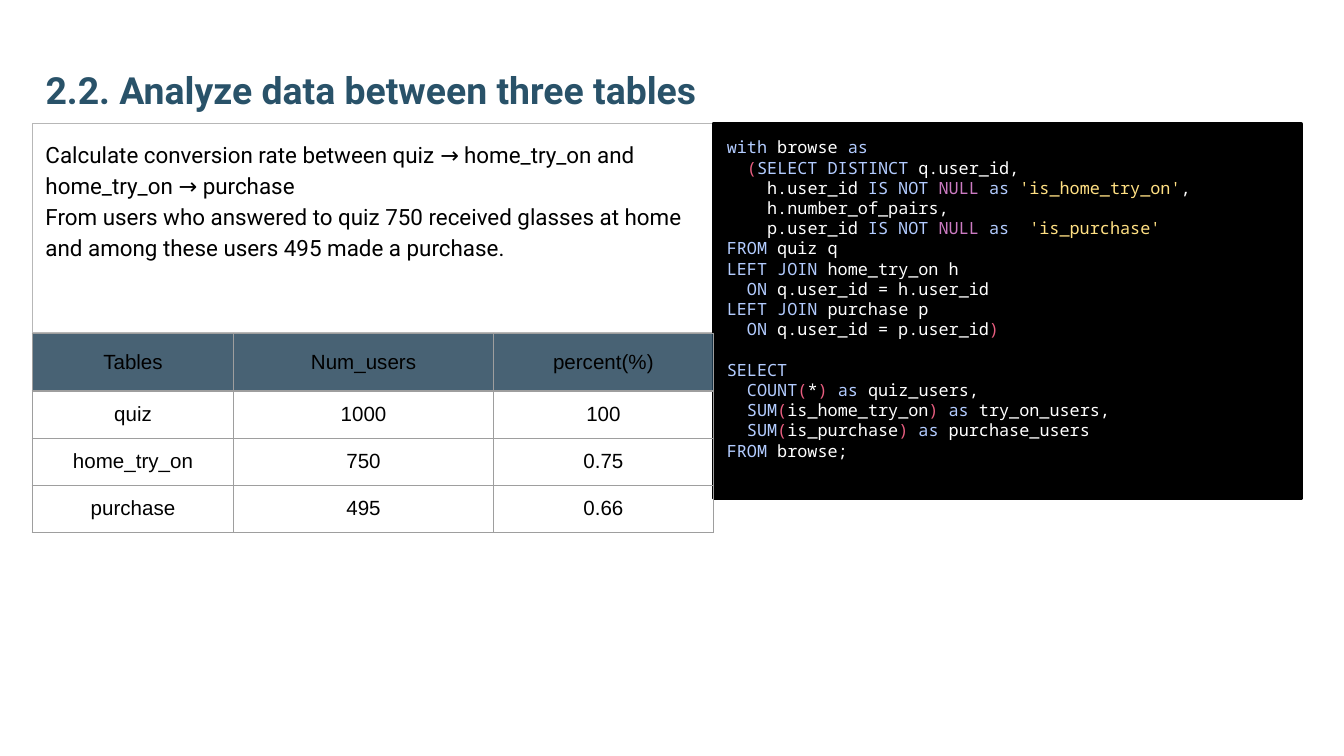
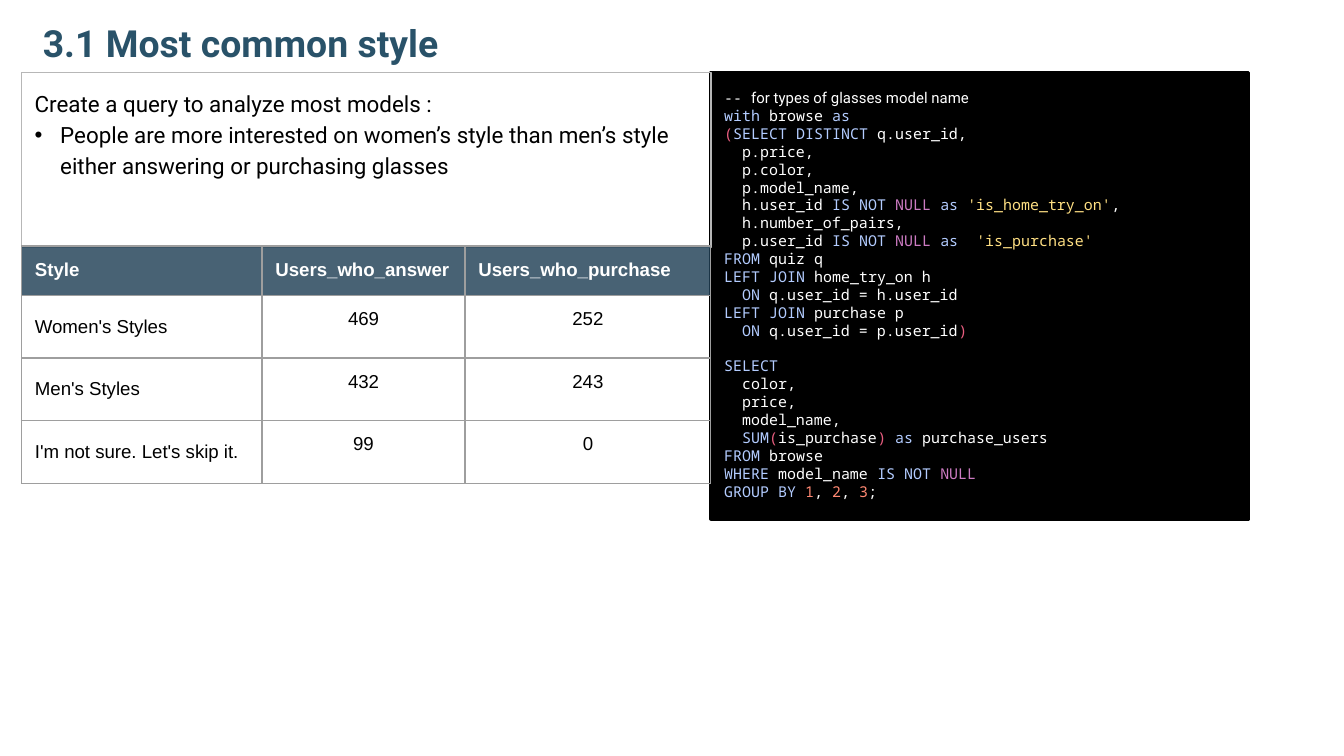
from dataclasses import dataclass
from itertools import groupby

from lxml.etree import SubElement as Sub
from pptx import Presentation as Deck
from pptx.dml.color import RGBColor as Rgb
from pptx.enum.shapes import MSO_SHAPE as Form
from pptx.enum.text import MSO_ANCHOR as Anchor, PP_ALIGN as Align
from pptx.oxml.ns import qn
from pptx.util import Inches, Pt


@dataclass(frozen=True)
class Theme:
    """Colours, fonts and type sizes of the deck."""
    title: str = "295269"
    ink: str = "000000"
    paper: str = "FFFFFF"
    edge: str = "B7B7B7"
    grid: str = "9E9E9E"
    head: str = "204056"
    alpha: int = 82
    key: str = "B3CCFF"
    null: str = "CC7BC2"
    paren: str = "E85D7F"
    quote: str = "FFE083"
    digit: str = "FF8973"
    sans: str = "Roboto"
    cell: str = "Arial"
    mono: str = "Noto Sans Mono"
    note: str = "Courier New"
    big: int = 20
    body: int = 12
    thin: float = 0.75
    thick: float = 2
    lead: float = 1.15
    pitch: float = 1.2


@dataclass(frozen=True)
class Look:
    """Text style of a table cell."""
    size: int
    ink: str = "000000"
    bold: bool = False
    align: Align = Align.CENTER
    anchor: Anchor = Anchor.MIDDLE
    pad: tuple = (0.1, 0.1)


T = Theme()
KEYS = set("with as SELECT DISTINCT IS NOT FROM LEFT JOIN ON COUNT SUM WHERE GROUP BY".split())

FUNNEL = """with browse as
  (SELECT DISTINCT q.user_id,
    h.user_id IS NOT NULL as 'is_home_try_on',
    h.number_of_pairs,
    p.user_id IS NOT NULL as  'is_purchase'
FROM quiz q
LEFT JOIN home_try_on h
  ON q.user_id = h.user_id
LEFT JOIN purchase p
  ON q.user_id = p.user_id)

SELECT
  COUNT(*) as quiz_users,
  SUM(is_home_try_on) as try_on_users,
  SUM(is_purchase) as purchase_users
FROM browse;"""

MODELS = """-- for types of glasses model name
with browse as
(SELECT DISTINCT q.user_id,
  p.price,
  p.color,
  p.model_name,
  h.user_id IS NOT NULL as 'is_home_try_on',
  h.number_of_pairs,
  p.user_id IS NOT NULL as  'is_purchase'
FROM quiz q
LEFT JOIN home_try_on h
  ON q.user_id = h.user_id
LEFT JOIN purchase p
  ON q.user_id = p.user_id)

SELECT
  color,
  price,
  model_name,
  SUM(is_purchase) as purchase_users
FROM browse
WHERE model_name IS NOT NULL
GROUP BY 1, 2, 3;"""


def rgb(code):
    """Turn a hex code into a colour."""
    return Rgb.from_string(code)


def add_run(para, text, size, font, ink, bold=False):
    """Add one styled run to a paragraph."""
    run = para.add_run()
    run.text = text
    face = run.font
    face.size, face.name, face.bold = Pt(size), font, bold
    face.color.rgb = rgb(ink)


def set_pad(box, side, ends):
    """Set the inner margins of a text frame or cell."""
    box.margin_left = box.margin_right = Inches(side)
    box.margin_top = box.margin_bottom = Inches(ends)


def next_para(frame, index):
    """Give the first paragraph of a frame, or a new one."""
    return frame.add_paragraph() if index else frame.paragraphs[0]


def add_title(slide, place, text, ends):
    """Add the slide title, resting on the foot of its box."""
    frame = slide.shapes.add_textbox(*map(Inches, place)).text_frame
    frame.word_wrap = True
    frame.vertical_anchor = Anchor.BOTTOM
    set_pad(frame, 0.1, ends)
    add_run(frame.paragraphs[0], text, T.big, T.sans, T.title, True)


def add_panel(slide, place, edge, width, fill=None):
    """Add a framed rectangle and return its text frame."""
    panel = slide.shapes.add_shape(Form.RECTANGLE, *map(Inches, place))
    panel.shadow.inherit = False
    panel.line.color.rgb = rgb(edge)
    panel.line.width = Pt(width)
    if fill:
        panel.fill.solid()
        panel.fill.fore_color.rgb = rgb(fill)
    else:
        panel.fill.background()
    frame = panel.text_frame
    frame.word_wrap = True
    frame.vertical_anchor = Anchor.TOP
    set_pad(frame, 0.1, 0.1)
    return frame


def add_bullet(para):
    """Give a paragraph a round bullet with a hanging indent."""
    props = para._p.get_or_add_pPr()
    props.set("marL", str(Inches(0.19)))
    props.set("indent", str(-Inches(0.19)))
    Sub(Sub(props, qn("a:buClr")), qn("a:srgbClr"), val=T.ink)
    Sub(props, qn("a:buFont"), typeface=T.cell)
    Sub(props, qn("a:buChar"), char="•")


def add_story(slide, place, lines):
    """Add the framed notes, given as pairs of text and bullet flag."""
    frame = add_panel(slide, place, T.edge, T.thin)
    for index, (text, dot) in enumerate(lines):
        para = next_para(frame, index)
        para.alignment = Align.LEFT
        if dot:
            add_bullet(para)
        para.line_spacing = T.lead
        add_run(para, text, T.body, T.sans, T.ink)


def word_ink(word):
    """Choose the colour of one SQL token."""
    if word in KEYS:
        return T.key
    if word == "NULL":
        return T.null
    if word.isdigit():
        return T.digit
    return T.paren if word in ("(", ")") else T.paper


def sql_runs(line):
    """Split a line of SQL into pairs of colour and text."""
    marks = []
    for index, part in enumerate(line.split("'")):
        if index % 2:
            marks.append((T.quote, f"'{part}'"))
            continue
        for is_word, chars in groupby(part, lambda c: c.isalnum() or c == "_"):
            words = ["".join(chars)] if is_word else chars
            marks += [(word_ink(word), word) for word in words]
    for ink, group in groupby(marks, lambda mark: mark[0]):
        yield ink, "".join(text for _, text in group)


def add_code(slide, place, code, size):
    """Add the dark panel with coloured SQL."""
    frame = add_panel(slide, place, T.ink, T.thick, T.ink)
    index = 0
    for block in code.split("\n\n"):
        for row, line in enumerate(block.split("\n")):
            para = next_para(frame, index)
            para.alignment = Align.LEFT
            if index and not row:
                para.space_before = Pt(size * T.pitch)
            if line.startswith("-- "):
                para.line_spacing = T.lead
                add_run(para, line[:3], size, T.note, T.paper)
                add_run(para, line[3:], size, T.sans, T.paper)
            else:
                for ink, text in sql_runs(line):
                    add_run(para, text, size, T.mono, ink)
            index += 1


def style_cell(cell, text, look, head):
    """Write, outline and fill one table cell."""
    para = cell.text_frame.paragraphs[0]
    para.alignment = look.align
    add_run(para, text, look.size, T.cell, look.ink, look.bold)
    cell.vertical_anchor = look.anchor
    set_pad(cell, *look.pad)
    props = cell._tc.get_or_add_tcPr()
    for side in ("lnL", "lnR", "lnT", "lnB"):
        line = Sub(props, qn(f"a:{side}"), w=str(Pt(T.thin)))
        Sub(Sub(line, qn("a:solidFill")), qn("a:srgbClr"), val=T.grid)
    if head:
        cell.fill.solid()
        cell.fill.fore_color.rgb = rgb(T.head)
        tint = props.find(qn("a:solidFill")).find(qn("a:srgbClr"))
        Sub(tint, qn("a:alpha"), val=str(T.alpha * 1000))
    else:
        cell.fill.background()


def add_grid(slide, place, cols, top, rows, head, side, body):
    """Add a table with looks for its head, side column and body."""
    frame = slide.shapes.add_table(len(rows), len(cols), *map(Inches, place))
    table = frame.table
    table.first_row = table.horz_banding = False
    for col, width in zip(table.columns, cols):
        col.width = Inches(width)
    rest = (place[3] - top) / (len(rows) - 1)
    for y, row in enumerate(rows):
        table.rows[y].height = Inches(rest if y else top)
        for x, text in enumerate(row):
            look = head if y == 0 else body if x else side
            style_cell(table.cell(y, x), text, look, y == 0)


def add_funnel(slide):
    """Build the slide on conversion between tables."""
    add_title(slide, (0.24, 0.48, 8.41, 0.45), "2.2. Analyze data between three tables", 0.1)
    add_story(slide, (0.24, 0.92, 5.07, 1.56), [
        ("Calculate conversion rate between quiz → home_try_on and home_try_on → purchase", False),
        ("From users who answered to quiz 750 received glasses at home "
         "and among these users 495 made a purchase.", False)])
    add_code(slide, (5.31, 0.92, 4.37, 2.79), FUNNEL, 9)
    look = Look(11, pad=(0.01, 0.01))
    add_grid(slide, (0.24, 2.48, 5.07, 1.48), (1.5, 1.93, 1.64), 0.43, [
        ("Tables", "Num_users", "percent(%)"),
        ("quiz", "1000", "100"),
        ("home_try_on", "750", "0.75"),
        ("purchase", "495", "0.66")], look, look, look)


def add_styles(slide):
    """Build the slide on the most common style."""
    add_code(slide, (5.29, 0.54, 4, 3.32), MODELS, 8)
    add_title(slide, (0.22, 0.09, 3.42, 0.44), "3.1 Most common style", 0.05)
    add_story(slide, (0.16, 0.54, 5.13, 1.3), [
        ("Create a query to analyze most models :", False),
        ("People are more interested on women’s style than men’s style "
         "either answering or purchasing glasses", True)])
    add_grid(slide, (0.16, 1.83, 5.13, 1.76), (1.79, 1.51, 1.83), 0.36, [
        ("Style", "Users_who_answer", "Users_who_purchase"),
        ("Women's Styles", "469", "252"),
        ("Men's Styles", "432", "243"),
        ("I'm not sure. Let's skip it.", "99", "0")],
        Look(10, T.paper, True, Align.LEFT, Anchor.TOP),
        Look(10, align=Align.LEFT, pad=(0.1, 0.05)),
        Look(10, anchor=Anchor.TOP))


def main():
    """Build and save the deck."""
    deck = Deck()
    deck.slide_width = Inches(10)
    deck.slide_height = deck.slide_width * 9 // 16
    for build in (add_funnel, add_styles):
        build(deck.slides.add_slide(deck.slide_layouts[6]))
    deck.save("out.pptx")


if __name__ == "__main__":
    main()
